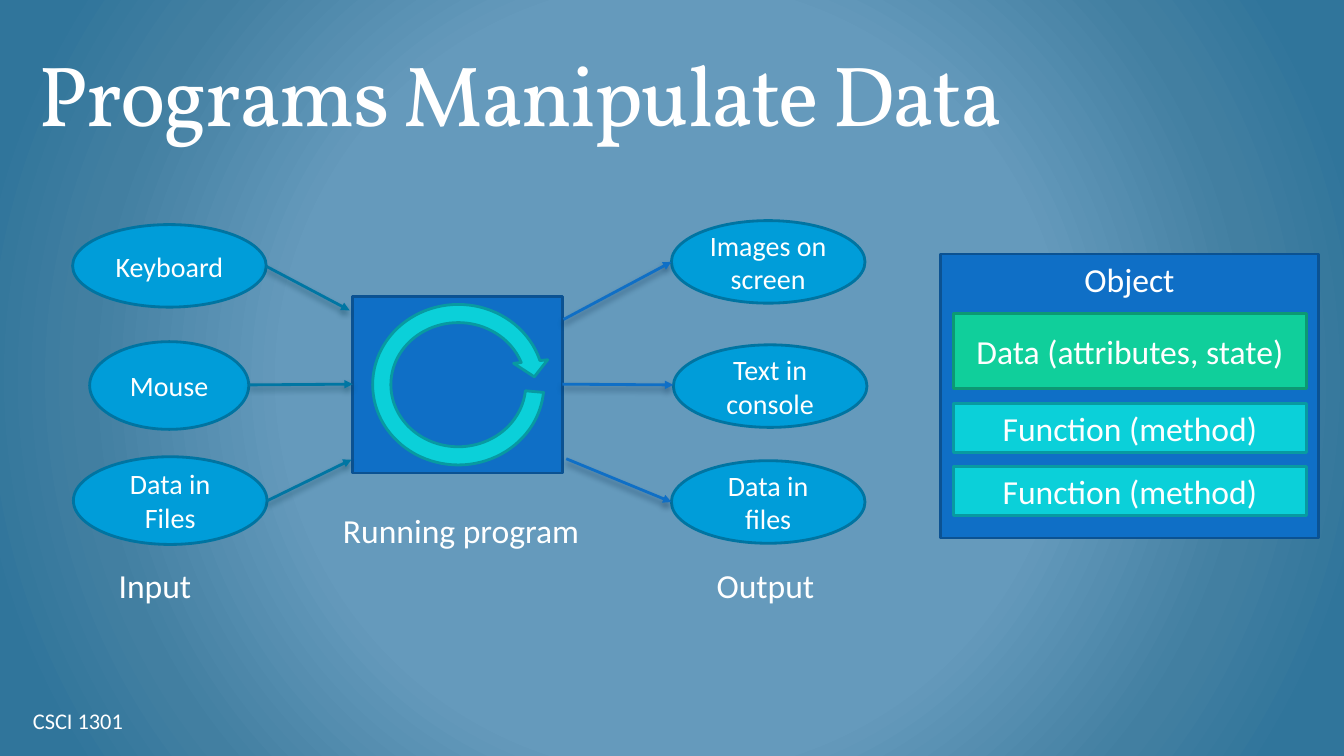
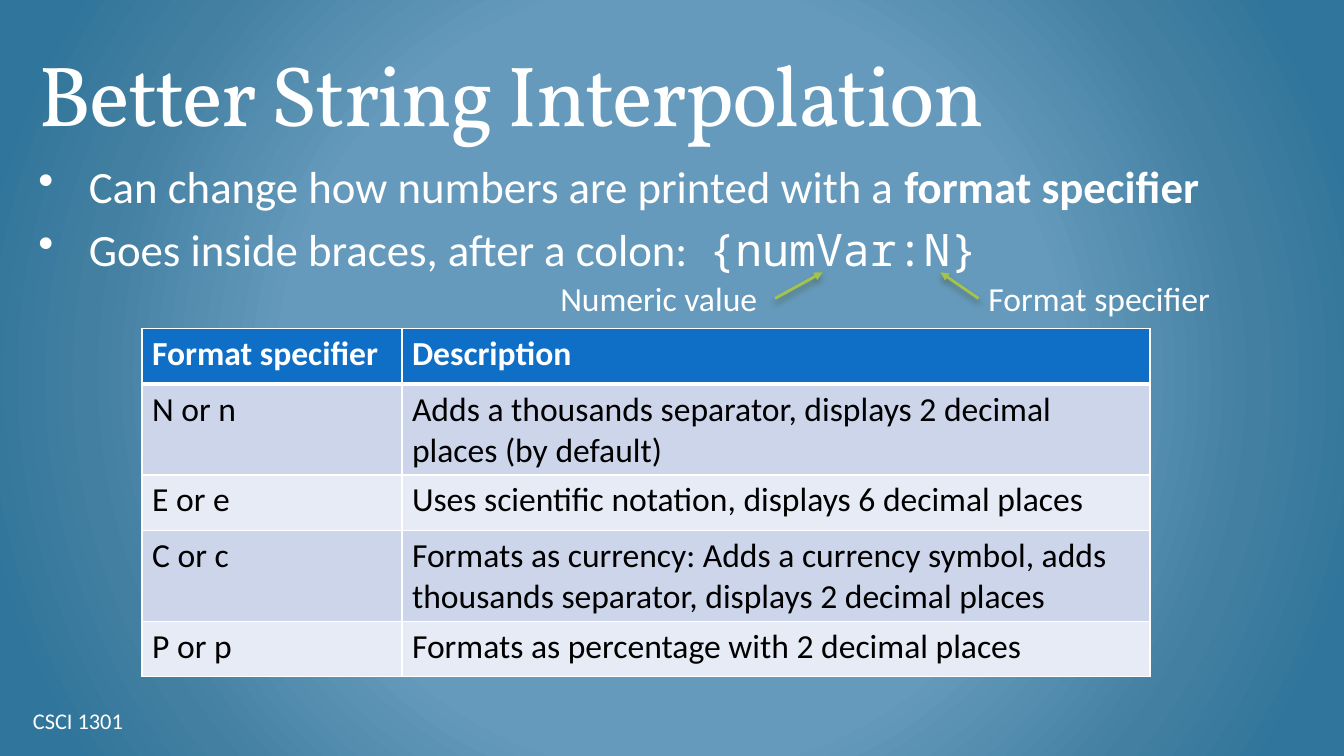
"""Build two slides on programs, data and string formats."""
from lxml import etree
from pptx import Presentation
from pptx.dml.color import RGBColor
from pptx.enum.shapes import MSO_CONNECTOR, MSO_SHAPE
from pptx.enum.text import MSO_ANCHOR, PP_ALIGN
from pptx.oxml import parse_xml
from pptx.oxml.ns import qn
from pptx.util import Cm, Pt

OVAL, RECT, RING = MSO_SHAPE.OVAL, MSO_SHAPE.RECTANGLE, MSO_SHAPE.CIRCULAR_ARROW
TOP, MID, LOW = MSO_ANCHOR.TOP, MSO_ANCHOR.MIDDLE, MSO_ANCHOR.BOTTOM
LEFT, CENTER = PP_ALIGN.LEFT, PP_ALIGN.CENTER
STRAIGHT = MSO_CONNECTOR.STRAIGHT
NS = 'xmlns:a="http://schemas.openxmlformats.org/drawingml/2006/main"'
SANS, MONO, SERIF = "Calibri", "Noto Sans Mono", "Vollkorn"
HUES = {
    "white": "FFFFFF", "black": "000000",
    "glow": "659ABC", "haze": "427FA1", "rim": "30759B",
    "sky": "009DD9", "sky edge": "0074A1",
    "blue": "0F6FC6", "blue edge": "0B5292",
    "aqua": "0BD0D9", "aqua edge": "089AA1",
    "mint": "10CF9B", "mint edge": "0C9973",
    "teal": "0076A3", "teal shade": "00374C", "blue shade": "042747",
    "lime": "A5C249", "lime shade": "3A4519",
    "odd": "CCD5EA", "even": "E7EBF5",
}


def write(frame, text, size=24, font=SANS, hue="white", bold=False, align=LEFT,
          anchor=TOP, wrap=True, pads=None, lead=None, track=0, bullet=None):
    frame.word_wrap = wrap
    frame.vertical_anchor = anchor
    if pads:
        (frame.margin_left, frame.margin_top,
         frame.margin_right, frame.margin_bottom) = map(Cm, pads)
    paras = [[(text, {})]] if isinstance(text, str) else text
    for i, runs in enumerate(paras):
        para = frame.add_paragraph() if i else frame.paragraphs[0]
        para.alignment = align
        if lead:
            para.line_spacing = Pt(lead)
        if bullet:
            para.space_before = Pt(size * 0.2)
            props = para._p.get_or_add_pPr()
            props.set("marL", str(Cm(1.27)))
            props.set("indent", str(-Cm(1.27)))
            etree.SubElement(props, qn("a:buChar")).set("char", bullet)
        for words, extra in runs:
            run = para.add_run()
            run.text = words
            run.font.size = Pt(size)
            run.font.name = extra.get("font", font)
            run.font.bold = extra.get("bold", bold)
            run.font.color.rgb = RGBColor.from_string(HUES[hue])
            if track:
                run._r.get_or_add_rPr().set("spc", str(track))


def put(slide, box, text="", kind=None, fill=None, **style):
    box = [Cm(n) for n in box]
    if kind is None:
        shape = slide.shapes.add_textbox(*box)
    else:
        shape = slide.shapes.add_shape(kind, *box)
        shape.shadow.inherit = False
        shape.fill.solid()
        shape.fill.fore_color.rgb = RGBColor.from_string(HUES[fill])
        shape.line.color.rgb = RGBColor.from_string(HUES[fill + " edge"])
        shape.line.width = Pt(2)
        style = {"align": CENTER, "anchor": MID, **style}
    if text:
        write(shape.text_frame, text, **style)
    return shape


deck = Presentation()
deck.slide_width, deck.slide_height = Cm(33.87), Cm(19.05)

back = deck.slide_master.background.fill
back.gradient()
stops = "".join(
    f'<a:gs pos="{pos}000"><a:srgbClr val="{HUES[hue]}"/></a:gs>'
    for pos, hue in ((50, "glow"), (76, "haze"), (92, "rim")))
wash = parse_xml(
    f'<a:gradFill {NS} rotWithShape="1"><a:gsLst>{stops}</a:gsLst>'
    '<a:path path="circle"><a:fillToRect l="50000" t="50000" r="50000" '
    'b="50000"/></a:path></a:gradFill>')
old = deck.slide_master.element.find(".//" + qn("a:gradFill"))
old.getparent().replace(old, wash)

pages = []
for title in ("Programs Manipulate Data", "Better String Interpolation"):
    page = deck.slides.add_slide(deck.slide_layouts[6])
    put(page, (0.64, 0.64, 32.59, 3.18), title, size=61, font=SERIF, anchor=LOW,
        pads=(0.33, 0.19, 0.33, 0.19), lead=77.3, track=-130)
    put(page, (0.64, 17.65, 10.54, 1.02), "CSCI 1301", size=16, anchor=MID,
        pads=(0.19, 0.19, 0.33, 0.19))
    pages.append(page)
flow, form = pages

for text, *box in (
    ("Keyboard", 1.83, 5.66, 4.88, 2.08),
    ("Mouse", 2.26, 8.61, 4.01, 2.21),
    ("Data in Files", 1.85, 11.51, 4.88, 2.21),
    ("Images on screen", 16.92, 5.56, 4.88, 2.08),
    ("Text in console", 16.97, 8.69, 4.88, 2.08),
    ("Data in files", 16.92, 11.61, 4.88, 2.08),
):
    put(flow, box, text, OVAL, "sky", size=20)

put(flow, (8.89, 7.47, 5.28, 4.45), kind=RECT, fill="blue")
ring = put(flow, (9.19, 7.47, 4.72, 4.45), kind=RING, fill="aqua")
for i, value in enumerate((0.103, 7.083, 205.365, 3.108, 0.097)):
    ring.adjustments[i] = value

put(flow, (8, 12.73, 7.24, 1.27), "Running program", align=CENTER)
for page, text, *box in (
    (flow, "Input", 2.74, 14.12, 2.46, 1.27),
    (flow, "Output", 17.81, 14.12, 3.12, 1.27),
    (form, "Numeric value", 13.87, 6.88, 5.66, 1.27),
    (form, "Format specifier", 24.66, 6.88, 6.4, 1.27),
):
    put(page, box, text, wrap=False)

put(flow, (23.7, 6.4, 9.53, 7.16), "Object", RECT, "blue", anchor=TOP)
for text, fill, top, high in (
    ("Data (attributes, state)", "mint", 7.9, 1.9),
    ("Function (method)", "aqua", 10.16, 1.24),
    ("Function (method)", "aqua", 11.76, 1.24),
):
    put(flow, (24.03, top, 8.89, high), text, RECT, fill)

for page, hue, *ends in (
    (flow, "teal", 6.71, 6.71, 8.81, 7.82),
    (flow, "teal", 6.27, 9.7, 8.89, 9.68),
    (flow, "teal", 6.73, 12.62, 8.86, 11.58),
    (flow, "blue", 14.2, 8.05, 16.92, 6.6),
    (flow, "blue", 14.17, 9.68, 16.97, 9.7),
    (flow, "blue", 14.27, 11.56, 16.92, 12.65),
    (form, "lime", 24.66, 7.52, 23.7, 6.86),
    (form, "lime", 19.53, 7.52, 20.73, 6.86),
):
    arrow = page.shapes.add_connector(STRAIGHT, *map(Cm, ends))
    arrow.line.width = Pt(2)
    arrow.line.color.rgb = RGBColor.from_string(HUES[hue])
    etree.SubElement(arrow.line._get_or_add_ln(), qn("a:tailEnd")).set("type", "triangle")
    arrow._element.spPr.append(parse_xml(
        f'<a:effectLst {NS}><a:outerShdw blurRad="{Pt(4.5)}" dist="{Pt(3)}" '
        f'dir="5400000" rotWithShape="0"><a:srgbClr val="{HUES[hue + " shade"]}">'
        '<a:alpha val="48000"/></a:srgbClr></a:outerShdw></a:effectLst>'))

points = [
    [("Can change how numbers are printed with a ", {}),
     ("format specifier", {"bold": True})],
    [("Goes inside braces, after a colon:  ", {}), ("{numVar:N}", {"font": MONO})],
]
put(form, (0.64, 3.81, 32.59, 4.01), points, size=32, bullet="•",
    pads=(0.33, 0.19, 0.33, 0.19))

rows = (
    ("Format specifier", "Description"),
    ("N or n", "Adds a thousands separator, displays 2 decimal places (by default)"),
    ("E or e", "Uses scientific notation, displays 6 decimal places"),
    ("C or c", "Formats as currency: Adds a currency symbol, adds thousands "
               "separator, displays 2 decimal places"),
    ("P or p", "Formats as percentage with 2 decimal places"),
)
grid = form.shapes.add_table(
    len(rows), 2, Cm(3.58), Cm(8.28), Cm(25.4), Cm(1.4 * len(rows))).table
for col, wide in zip(grid.columns, (6.55, 18.85)):
    col.width = Cm(wide)
for r, row in enumerate(rows):
    head = r == 0
    fill = "blue" if head else "odd" if r % 2 else "even"
    for c, text in enumerate(row):
        cell = grid.cell(r, c)
        write(cell.text_frame, text, bold=head, hue="white" if head else "black")
        cell.fill.solid()
        cell.fill.fore_color.rgb = RGBColor.from_string(HUES[fill])
        props = cell._tc.get_or_add_tcPr()
        for i, side in enumerate("LRTB"):
            thick = 3 if (r, side) in ((0, "B"), (1, "T")) else 1
            props.insert(i, parse_xml(
                f'<a:ln{side} {NS} w="{Pt(thick)}"><a:solidFill><a:srgbClr '
                f'val="{HUES["white"]}"/></a:solidFill></a:ln{side}>'))

deck.save("out.pptx")
